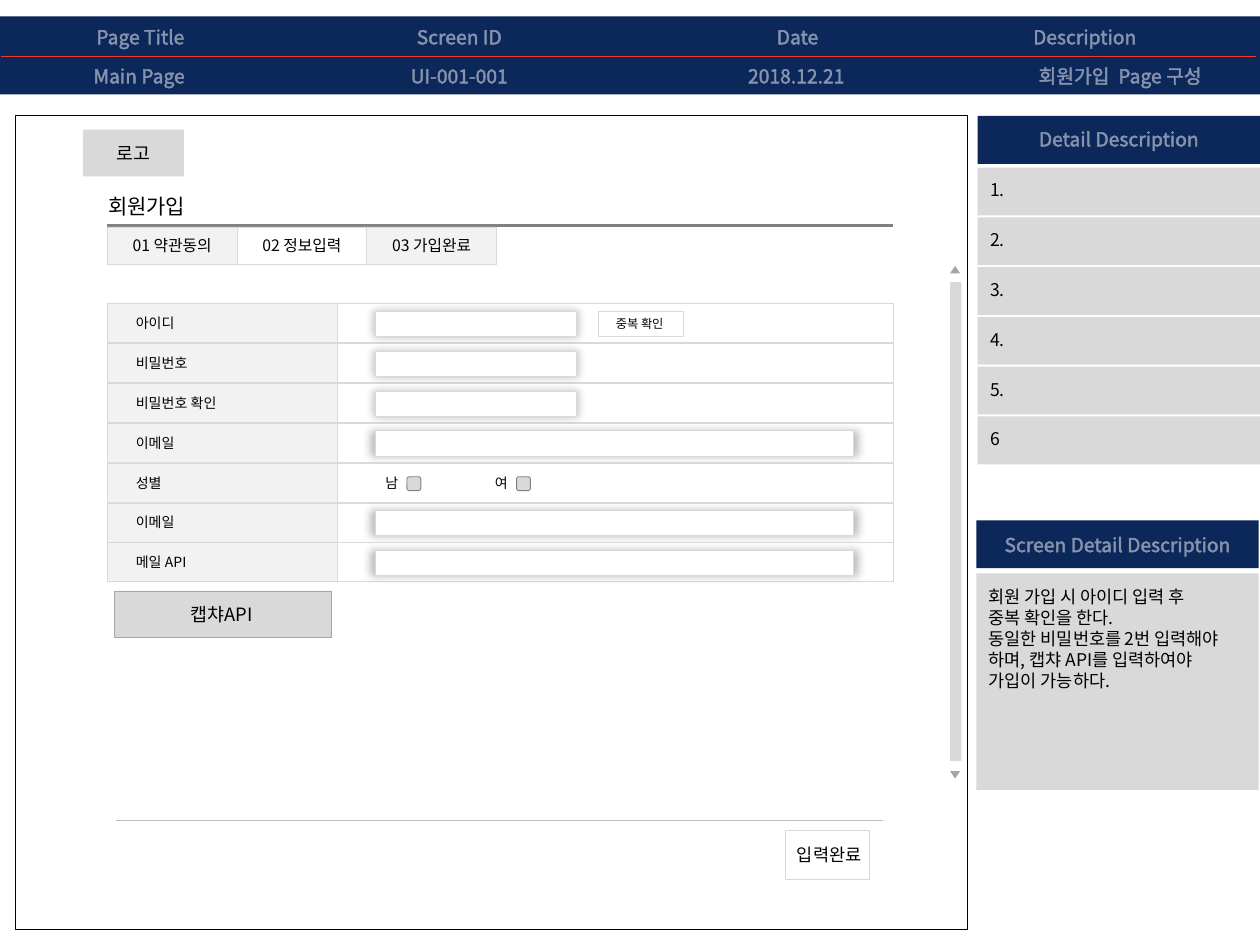
from lxml.etree import SubElement
from pptx import Presentation
from pptx.dml.color import RGBColor
from pptx.enum.shapes import MSO_CONNECTOR, MSO_SHAPE
from pptx.enum.text import MSO_AUTO_SIZE, PP_ALIGN
from pptx.oxml.ns import qn
from pptx.util import Inches, Pt

FONT = "Noto Sans CJK KR"
COLS, ROWS = 100, 75  # slide grid, one cell is a tenth of an inch
C = {
    "navy": "0C2759", "red": "F33A24", "white": "FFFFFF", "black": "000000",
    "panel": "D9D9D9", "label": "F2F2F2", "gray": "808080",
    "mid": "A6A6A6", "rule": "BFBFBF",
}


def cells(*values):
    return [Inches(v / 10) for v in values]


def rgb(name):
    return RGBColor.from_string(C[name])


def add_color(parent, name, alpha):
    clr = SubElement(parent, qn("a:srgbClr"), val=C[name])
    SubElement(clr, qn("a:alpha"), val=str(alpha * 1000))


def box(slide, at, fill=None, line=None, width=0.25, kind=MSO_SHAPE.RECTANGLE):
    sp = slide.shapes.add_shape(kind, *cells(*at))
    sp.shadow.inherit = False
    if fill:
        sp.fill.solid()
        sp.fill.fore_color.rgb = rgb(fill)
    else:
        sp.fill.background()
    if line:
        sp.line.color.rgb = rgb(line)
        sp.line.width = Pt(width)
    else:
        sp.line.fill.background()
    return sp


def rule(slide, x1, x2, y, color, width):
    ln = slide.shapes.add_connector(MSO_CONNECTOR.STRAIGHT, *cells(x1, y, x2, y))
    ln.line.color.rgb = rgb(color)
    ln.line.width = Pt(width)
    SubElement(ln._element.spPr, qn("a:effectLst"))


def text(slide, at, lines, size, color="black", center=False):
    tf = slide.shapes.add_textbox(*cells(*at)).text_frame
    tf.word_wrap = True
    tf.auto_size = MSO_AUTO_SIZE.SHAPE_TO_FIT_TEXT
    for i, line in enumerate(lines.split("\n")):
        p = tf.add_paragraph() if i else tf.paragraphs[0]
        p.alignment = PP_ALIGN.CENTER if center else PP_ALIGN.LEFT
        r = p.add_run()
        r.text = line
        r.font.size = Pt(size)
        r.font.name = FONT
        r.font.color.rgb = rgb(color)
        rpr = r._r.get_or_add_rPr()
        SubElement(rpr, qn("a:ea"), typeface=FONT)
        # Half transparent white outline around the letters
        ln = SubElement(rpr, qn("a:ln"), w=str(Pt(0.75)))
        add_color(SubElement(ln, qn("a:solidFill")), "white", 50)
        rpr.insert(0, ln)


def input_field(slide, row_top, width):
    sp = box(slide, (29.8, row_top + 0.6, width, 2), "white", "panel")
    effects = sp._element.spPr.find(qn("a:effectLst"))
    shadow = SubElement(effects, qn("a:outerShdw"), blurRad=str(Pt(5)),
                        sx="102000", sy="102000", algn="ctr", rotWithShape="0")
    add_color(shadow, "black", 25)


def header(slide):
    box(slide, (0, 1.3, COLS, 6.2), "navy")
    rule(slide, 0.1, 99.7, 4.5, "red", 0.75)
    for x, width, title, x2, width2, value in (
        (0.3, 21.7, "Page Title", 0.2, 21.7, "Main Page"),
        (26.7, 19.5, "Screen ID", 26.7, 19.5, "UI-001-001"),
        (51.1, 24.4, "Date", 51, 24.4, "2018.12.21"),
        (80.3, 11.6, "Description", 80, 17.8, "회원가입  Page 구성"),
    ):
        text(slide, (x, 1.5, width, 2.9), title, 11, "white", True)
        text(slide, (x2, 4.6, width2, 2.9), value, 11, "white", True)


def side_panels(slide):
    # Numbered details
    box(slide, (77.6, 9.2, 22.4, 3.8), "navy")
    text(slide, (81.4, 9.6, 14.8, 2.9), "Detail Description", 11, "white", True)
    for i, number in enumerate(("1.", "2.", "3.", "4.", "5.", "6")):
        top = 13.3 + i * 3.95
        box(slide, (77.6, top, 22.4, 3.8), "panel")
        text(slide, (77.6, top + 0.45, 14.8, 2.7), number, 10)
    # Screen notes
    box(slide, (77.5, 41.3, 22.4, 3.8), "navy")
    text(slide, (78.4, 41.8, 20.6, 2.9), "Screen Detail Description", 11, "white", True)
    box(slide, (77.5, 45.5, 22.4, 17.2), "panel")
    text(slide, (77.5, 46, 22.2, 9.4),
         "회원 가입 시 아이디 입력 후\n중복 확인을 한다.\n"
         "동일한 비밀번호를 2번 입력해야 하며, 캡챠 API를 입력하여야 가입이 가능하다.", 10)


def screen_frame(slide):
    box(slide, (6.6, 10.3, 8, 3.7), "panel")
    text(slide, (6.8, 10.8, 7.6, 2.9), "로고", 10.5, center=True)
    box(slide, (1.2, 9.2, 75.6, 64.6), line="black", width=0.5)
    # Scroll bar
    bar = box(slide, (75.4, 22.4, 0.9, 38), "panel", kind=MSO_SHAPE.ROUNDED_RECTANGLE)
    bar.adjustments[0] = 0.1
    for y, turn in ((21.1, 0), (61.2, 180)):
        arrow = box(slide, (75.4, y, 0.8, 0.6), "mid", kind=MSO_SHAPE.ISOSCELES_TRIANGLE)
        arrow.rotation = turn


def tabs(slide):
    text(slide, (7.6, 14.9, 16.3, 3), "회원가입", 12)
    rule(slide, 8.5, 70.9, 17.9, "gray", 1.5)
    for i, (label, fill) in enumerate((
        ("01 약관동의", "label"), ("02 정보입력", "white"), ("03 가입완료", "label"),
    )):
        x = 8.5 + i * 10.3
        box(slide, (x, 18, 10.3, 3), fill, "panel")
        text(slide, (x + 0.2, 18.2, 9.9, 2.5), label, 9, center=True)


def form(slide):
    short, long = 15.9, 37.9
    fields = (("아이디", short), ("비밀번호", short), ("비밀번호 확인", short),
              ("이메일", long), ("성별", None), ("이메일", long), ("메일 API", long))
    tops = [24.1 + i * 3.16 for i in range(len(fields))]
    for top, (label, width) in zip(tops, fields):
        box(slide, (8.5, top, 62.4, 3.1), "white", "panel")
        box(slide, (8.5, top, 18.3, 3.1), "label", "panel")
        text(slide, (9.8, top + 0.4, 10.1, 2.4), label, 8)
        if width:
            input_field(slide, top, width)
    # Gender check boxes
    for x, label in ((29.6, "남"), (38.3, "여")):
        text(slide, (x, tops[4] + 0.4, 10.1, 2.4), label, 8)
        box(slide, (x + 2.7, tops[4] + 1.1, 1.1, 1.1), "panel", "gray", 0.5,
            MSO_SHAPE.ROUNDED_RECTANGLE)
    # Duplicate check button
    box(slide, (47.5, tops[0] + 0.6, 6.7, 2), "white", "panel")
    text(slide, (47.9, tops[0] + 0.5, 6.3, 2), "중복 확인", 7)


def buttons(slide):
    box(slide, (9.1, 46.9, 17.2, 3.7), "panel", "mid")
    text(slide, (9.5, 47.4, 16.2, 2.8), "캡챠API", 10.5, center=True)
    rule(slide, 9.2, 70.1, 65.1, "rule", 0.25)
    box(slide, (62.3, 65.9, 6.7, 3.9), "white", "panel")
    text(slide, (61.3, 66.5, 9, 2.7), "입력완료", 10, center=True)


def main():
    prs = Presentation()
    prs.slide_width, prs.slide_height = cells(COLS, ROWS)
    slide = prs.slides.add_slide(prs.slide_layouts[6])
    header(slide)
    side_panels(slide)
    screen_frame(slide)
    tabs(slide)
    form(slide)
    buttons(slide)
    prs.save("out.pptx")


if __name__ == "__main__":
    main()
